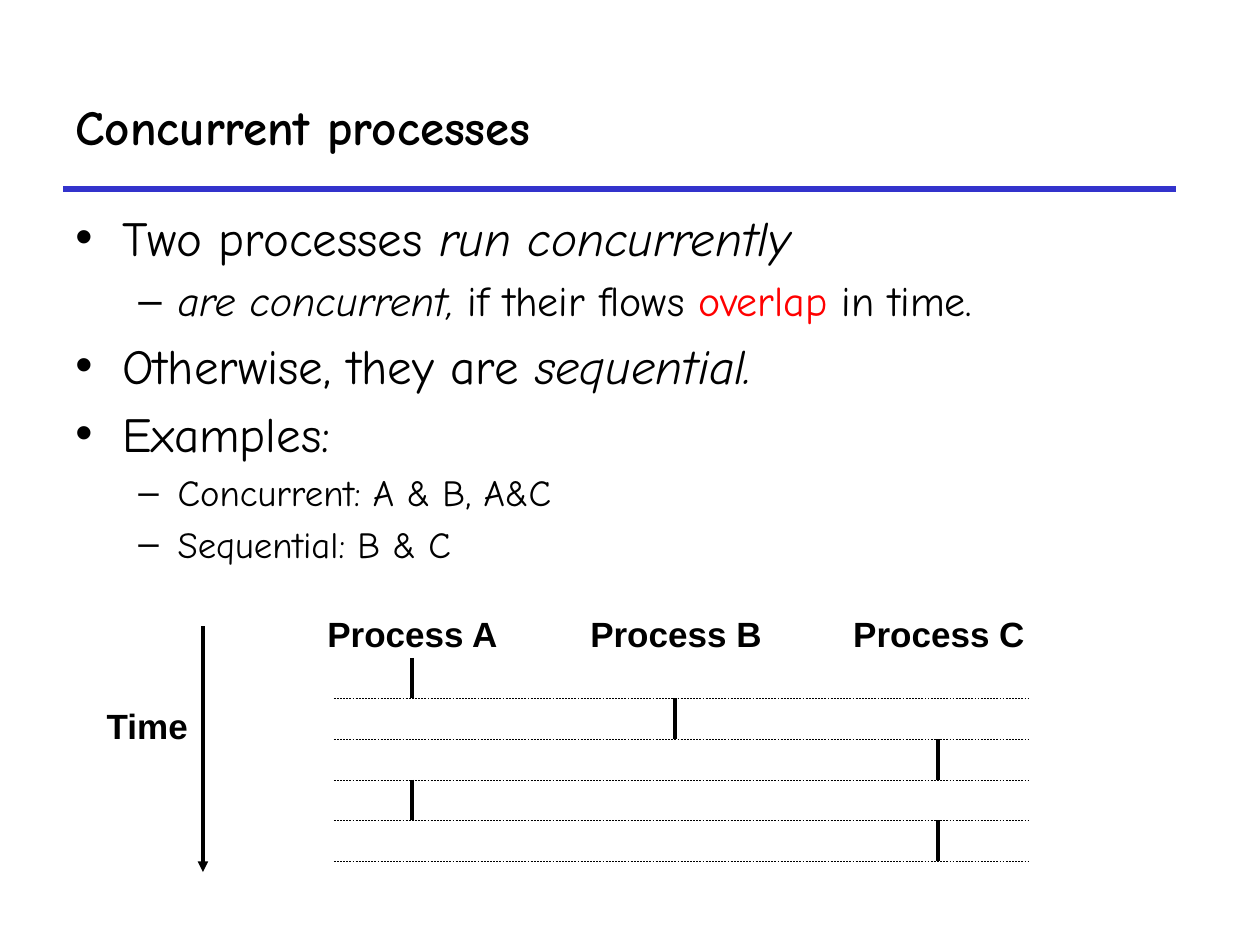
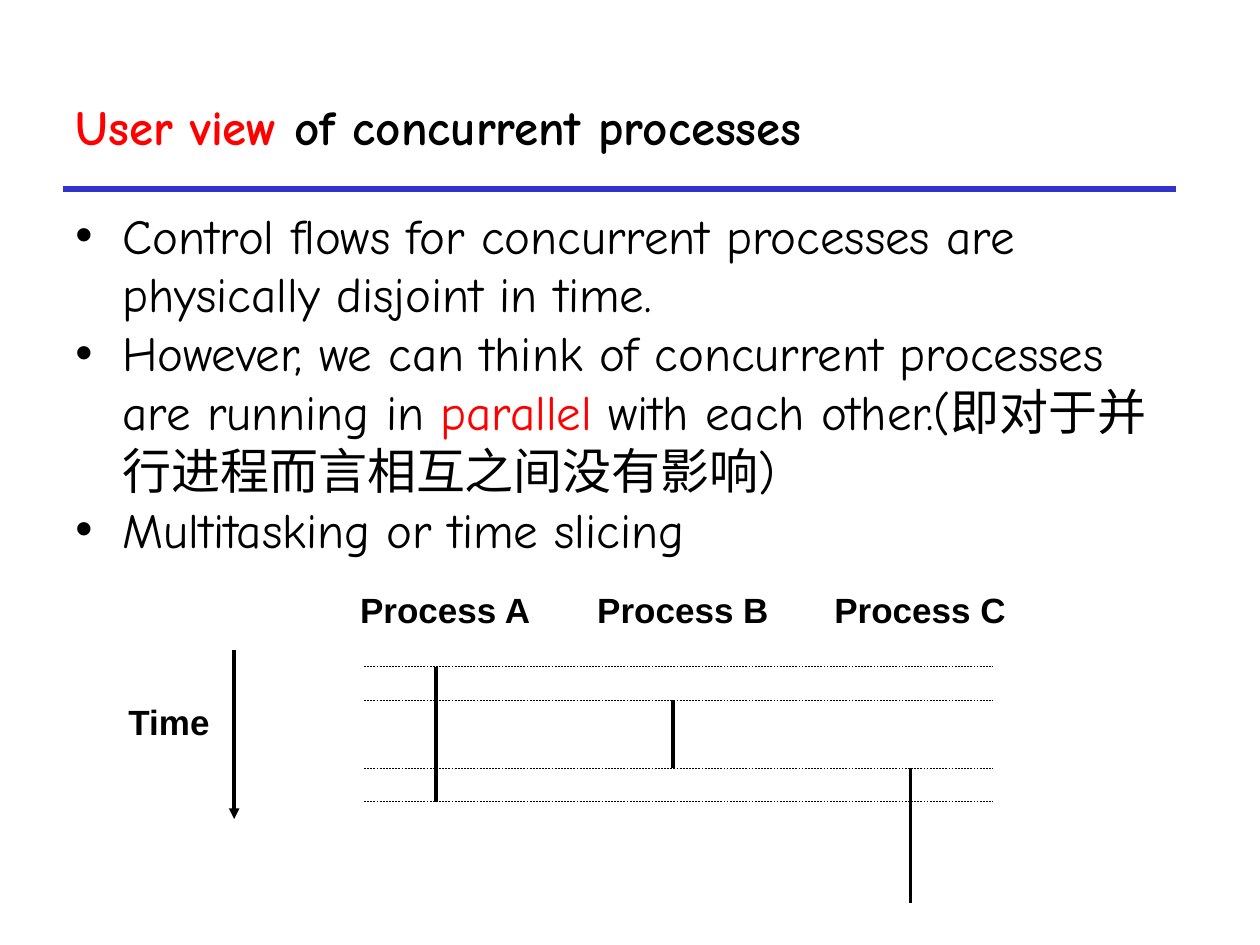
"""Build two slides on concurrent processes, each with a time diagram."""
import dataclasses

import lxml.etree
import pptx
import pptx.dml.color
import pptx.enum.dml
import pptx.enum.shapes
import pptx.enum.text
import pptx.oxml.ns
import pptx.util
from pptx.util import Cm

TITLE_ONLY = 5
ITALIC, ACCENT = "italic", "accent"


@dataclasses.dataclass(frozen=True)
class Theme:
    ink: pptx.dml.color.RGBColor = pptx.dml.color.RGBColor(0, 0, 0)
    accent: pptx.dml.color.RGBColor = pptx.dml.color.RGBColor(0xFF, 0, 0)
    band: pptx.dml.color.RGBColor = pptx.dml.color.RGBColor(0x33, 0x33, 0xCC)
    text_font: str = "Comic Neue"
    label_font: str = "Arial"
    heading_size: int = 28
    detail_size: int = 24
    example_size: int = 21
    label_size: int = 20
    bullets: tuple = (("•", 0.95, -0.95), ("–", 2.06, -0.79))


@dataclasses.dataclass(frozen=True)
class Timeline:
    label_left: float
    label_top: float
    label_width: float
    label_height: float
    bar_left: float
    column_step: float
    first_row: float
    row_step: float
    rule_left: float
    rule_right: float
    rules: tuple
    bars: tuple
    arrow: tuple
    time_label: tuple


class SlideBuilder:
    def __init__(self, presentation, theme):
        self.presentation = presentation
        self.theme = theme
        self.slide = None

    def new_slide(self, *title_runs):
        layout = self.presentation.slide_layouts[TITLE_ONLY]
        self.slide = self.presentation.slides.add_slide(layout)
        title = self.slide.shapes.title
        title.left, title.top = Cm(1.27), Cm(1.27)
        title.width, title.height = Cm(22.43), Cm(2.54)
        frame = title.text_frame
        frame.auto_size = pptx.enum.text.MSO_AUTO_SIZE.NONE
        frame.vertical_anchor = pptx.enum.text.MSO_ANCHOR.MIDDLE
        paragraph = frame.paragraphs[0]
        paragraph.alignment = pptx.enum.text.PP_ALIGN.LEFT
        self.font(paragraph, self.theme.text_font, self.theme.heading_size, True)
        self.runs(paragraph, title_runs)
        self.line(1.27, 3.81, 23.7, 3.81, 3, self.theme.band)

    def font(self, paragraph, name, size, bold=False):
        font = paragraph.font
        font.name = name
        font.size = pptx.util.Pt(size)
        font.bold = bold
        font.color.rgb = self.theme.ink

    def runs(self, paragraph, parts):
        for part in parts:
            text, style = part if isinstance(part, tuple) else (part, None)
            run = paragraph.add_run()
            run.text = text
            if style == ITALIC:
                run.font.italic = True
            elif style == ACCENT:
                run.font.color.rgb = self.theme.accent

    def text_box(self, left, top, width, height):
        shape = self.slide.shapes.add_textbox(Cm(left), Cm(top), Cm(width), Cm(height))
        shape.text_frame.word_wrap = True
        return shape.text_frame

    def label(self, text, left, top, width, height):
        paragraph = self.text_box(left, top, width, height).paragraphs[0]
        paragraph.text = text
        self.font(paragraph, self.theme.label_font, self.theme.label_size, True)

    def bullet_list(self, left, top, width, height, items, spacing=0.0):
        frame = self.text_box(left, top, width, height)
        for index, (level, size, parts) in enumerate(items):
            paragraph = frame.add_paragraph() if index else frame.paragraphs[0]
            paragraph.level = level
            paragraph.space_before = pptx.util.Pt(size * spacing if index else 0)
            self.bullet(paragraph, level)
            self.font(paragraph, self.theme.text_font, size)
            self.runs(paragraph, parts)

    def bullet(self, paragraph, level):
        character, margin, indent = self.theme.bullets[level]
        properties = paragraph._p.get_or_add_pPr()
        properties.set("marL", str(Cm(margin)))
        properties.set("indent", str(Cm(indent)))
        qn = pptx.oxml.ns.qn
        lxml.etree.SubElement(properties, qn("a:buFont"), typeface=self.theme.label_font)
        lxml.etree.SubElement(properties, qn("a:buChar"), char=character)

    def line(self, x1, y1, x2, y2, width=2.0, color=None, dashed=False, arrow=False):
        connector = self.slide.shapes.add_connector(
            pptx.enum.shapes.MSO_CONNECTOR.STRAIGHT, Cm(x1), Cm(y1), Cm(x2), Cm(y2))
        connector.line.width = pptx.util.Pt(width)
        connector.line.color.rgb = color or self.theme.ink
        if dashed:
            connector.line.dash_style = pptx.enum.dml.MSO_LINE.DASH
        qn = pptx.oxml.ns.qn
        properties = connector._element.spPr
        if arrow:
            outline = properties.find(qn("a:ln"))
            lxml.etree.SubElement(outline, qn("a:tailEnd"), type="triangle")
        lxml.etree.SubElement(properties, qn("a:effectLst"))

    def timeline(self, plan):
        def row_top(row):
            return plan.first_row + row * plan.row_step

        x, top, bottom = plan.arrow
        self.line(x, top, x, bottom, arrow=True)
        self.label("Time", *plan.time_label, 2.6, plan.label_height)
        for column, name in enumerate("ABC"):
            self.label(f"Process {name}", plan.label_left + column * plan.column_step,
                       plan.label_top, plan.label_width, plan.label_height)
        for name, start, end in plan.bars:
            x = plan.bar_left + "ABC".index(name) * plan.column_step
            self.line(x, row_top(start), x, row_top(end))
        for row in plan.rules:
            self.line(plan.rule_left, row_top(row), plan.rule_right, row_top(row),
                      0.25, dashed=True)


def main():
    presentation = pptx.Presentation()
    presentation.slide_width, presentation.slide_height = Cm(25.4), Cm(19.05)
    theme = Theme()
    builder = SlideBuilder(presentation, theme)
    heading, detail, example = theme.heading_size, theme.detail_size, theme.example_size

    builder.new_slide("Concurrent processes")
    builder.bullet_list(1.27, 4.06, 24.56, 5.23, (
        (0, heading, ["Two processes ", ("run concurrently", ITALIC)]),
        (1, detail, [("are concurrent, ", ITALIC), "if their flows ",
                     ("overlap", ACCENT), " in time."]),
        (0, heading, ["Otherwise, they are ", ("sequential.", ITALIC)]),
        (0, heading, ["Examples:"]),
        (1, example, ["Concurrent: A & B, A&C"]),
        (1, example, ["Sequential: B & C"]),
    ), spacing=0.2)
    builder.timeline(Timeline(
        label_left=6.35, label_top=12.22, label_width=4.84, label_height=1.7,
        bar_left=8.31, column_step=5.3, first_row=13.26, row_step=0.82,
        rule_left=6.73, rule_right=20.75, rules=(1, 2, 3, 4, 5),
        bars=tuple((name, row, row + 1) for row, name in enumerate("ABCAC")),
        arrow=(4.09, 12.62, 17.58), time_label=(1.9, 14.07)))

    builder.new_slide(("User view", ACCENT), " of concurrent processes")
    builder.bullet_list(1.27, 4.01, 22.86, 4.11, (
        (0, heading, ["Control flows for concurrent processes are physically "
                      "disjoint in time."]),
        (0, heading, ["However, we can think of concurrent processes are running in ",
                      ("parallel", ACCENT),
                      " with each other.(即对于并行进程而言相互之间没有影响)"]),
        (0, heading, ["Multitasking or time slicing"]),
    ))
    builder.timeline(Timeline(
        label_left=7.01, label_top=11.73, label_width=4.64, label_height=1.42,
        bar_left=8.79, column_step=4.78, first_row=13.44, row_step=0.68,
        rule_left=7.34, rule_right=20.02, rules=(0, 1, 3, 4),
        bars=(("A", 0, 2), ("A", 2, 4), ("B", 1, 3), ("C", 3, 5), ("C", 5, 7)),
        arrow=(4.72, 13.11, 16.51), time_label=(2.34, 14.0)))

    presentation.save("out.pptx")


if __name__ == "__main__":
    main()
